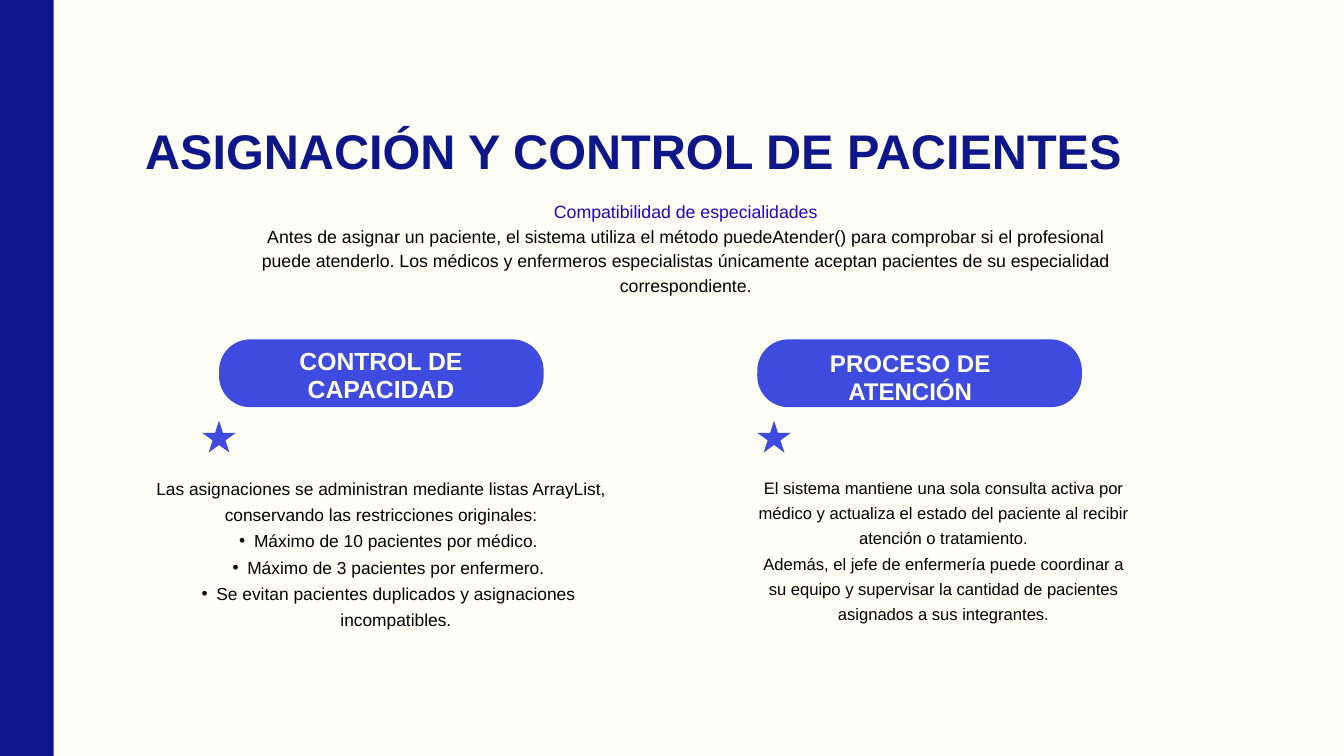
from dataclasses import dataclass

import pptx
import pptx.dml.color
import pptx.enum.shapes
import pptx.enum.text
import pptx.oxml.ns
import pptx.util
from lxml import etree

Pt = pptx.util.Pt
SHAPES = pptx.enum.shapes.MSO_SHAPE
ALIGN = pptx.enum.text.PP_ALIGN


def color(code):
    return pptx.dml.color.RGBColor.from_string(code)


@dataclass(frozen=True)
class Theme:
    background = color("FFFEF7")
    navy = color("0E1789")
    blue = color("3F4BDF")
    violet = color("2402D1")
    black = color("000000")
    white = color("FFFFFF")
    font = "Arial"
    # (type size, line spacing)
    title = (52.1, 59.4)
    intro = (19, 26.6)
    left_label = (26.5, 30.2)
    right_label = (25.8, 29.4)
    left_body = (18.6, 28.2)
    right_body = (17.8, 27.1)


THEME = Theme()
WIDTH, HEIGHT = 1440, 810


@dataclass(frozen=True)
class Column:
    """One topic; boxes are (left, top, width, height) from the column corner."""
    heading: str
    label_box: tuple
    label_type: tuple
    pill_left: float
    star_left: float
    paragraphs: list
    body_type: tuple


LEFT_COLUMN = Column(
    "CONTROL DE CAPACIDAD", (113.7, 8, 260.6, 96.5), THEME.left_label, 70.5, 52.5,
    [("Las asignaciones se administran mediante listas ArrayList, "
      "conservando las restricciones originales:", {}),
     ("Máximo de 10 pacientes por médico.", {"bullet": True}),
     ("Máximo de 3 pacientes por enfermero.", {"bullet": True}),
     ("Se evitan pacientes duplicados y asignaciones incompatibles.", {"bullet": True})],
    THEME.left_body)

RIGHT_COLUMN = Column(
    "PROCESO DE ATENCIÓN", (23.1, 11.5, 281.5, 92.9), THEME.right_label, 0, 0,
    [("El sistema mantiene una sola consulta activa por médico y actualiza "
      "el estado del paciente al recibir atención o tratamiento.", {}),
     ("Además, el jefe de enfermería puede coordinar a su equipo y supervisar "
      "la cantidad de pacientes asignados a sus integrantes.", {})],
    THEME.right_body)


def set_attributes(target, values):
    for name, value in values.items():
        setattr(target, name, value)


def add_filled(slide, kind, box, fill):
    shape = slide.shapes.add_shape(kind, *map(Pt, box))
    shape.shadow.inherit = False
    shape.fill.solid()
    shape.fill.fore_color.rgb = fill
    shape.line.fill.background()
    return shape


def add_bullet(paragraph):
    properties = paragraph._p.get_or_add_pPr()
    properties.set("marL", str(Pt(31.7)))
    properties.set("indent", str(-Pt(15.85)))
    properties.set("lvl", "1")
    for tag, attribute, value in (("a:buFont", "typeface", THEME.font),
                                  ("a:buChar", "char", "•")):
        element = etree.SubElement(properties, pptx.oxml.ns.qn(tag))
        element.set(attribute, value)


def add_text(slide, box, paragraphs, type_style, fill=THEME.black,
             bold=False, alignment=ALIGN.CENTER):
    size, spacing = type_style
    frame = slide.shapes.add_textbox(*map(Pt, box)).text_frame
    set_attributes(frame, {"word_wrap": True, "margin_left": 0, "margin_right": 0,
                           "margin_top": 0, "margin_bottom": 0})
    for index, (text, options) in enumerate(paragraphs):
        paragraph = frame.add_paragraph() if index else frame.paragraphs[0]
        if options.get("bullet"):
            add_bullet(paragraph)
        set_attributes(paragraph, {"alignment": alignment, "line_spacing": Pt(spacing)})
        run = paragraph.add_run()
        run.text = text
        set_attributes(run.font, {"name": THEME.font, "size": Pt(size), "bold": bold})
        run.font.color.rgb = options.get("color", fill)


def add_side_bar(slide, box):
    add_filled(slide, SHAPES.RECTANGLE, box, THEME.navy)


def add_header(slide, box):
    left, top, width, height = box
    add_text(slide, (left, top, width, height),
             [("ASIGNACIÓN Y CONTROL DE PACIENTES", {})],
             THEME.title, THEME.navy, bold=True, alignment=ALIGN.LEFT)
    add_text(slide, (left + 115.2, top + 78.5, 928.1, 130.3),
             [("Compatibilidad de especialidades", {"color": THEME.violet}),
              ("Antes de asignar un paciente, el sistema utiliza el método puedeAtender() "
               "para comprobar si el profesional puede atenderlo. Los médicos y enfermeros "
               "especialistas únicamente aceptan pacientes de su especialidad "
               "correspondiente.", {})],
             THEME.intro)


def add_column(slide, box, column):
    left, top, width, height = box
    # Heading pill
    pill = add_filled(slide, SHAPES.ROUNDED_RECTANGLE,
                      (left + column.pill_left, top, 347.8, 72.7), THEME.blue)
    pill.adjustments[0] = 0.46
    x, y, label_width, label_height = column.label_box
    add_text(slide, (left + x, top + y, label_width, label_height),
             [(column.heading, {})], column.label_type, THEME.white, bold=True)
    # Star and body text
    add_filled(slide, SHAPES.STAR_5_POINT,
               (left + column.star_left, top + 87.1, 36, 34.2), THEME.blue)
    add_text(slide, (left, top + 142.6, width, height - 142.6),
             column.paragraphs, column.body_type)


def main():
    presentation = pptx.Presentation()
    set_attributes(presentation, {"slide_width": Pt(WIDTH), "slide_height": Pt(HEIGHT)})
    slide = presentation.slides.add_slide(presentation.slide_layouts[6])
    slide.background.fill.solid()
    slide.background.fill.fore_color.rgb = THEME.background

    add_side_bar(slide, (0, 0, 57.6, HEIGHT))
    add_header(slide, (155.5, 132.5, 1107.4, 119.5))
    add_column(slide, (164.2, 363.6, 488.2, 337), LEFT_COLUMN)
    add_column(slide, (811.4, 363.6, 398.9, 355.7), RIGHT_COLUMN)
    presentation.save("out.pptx")


if __name__ == "__main__":
    main()
